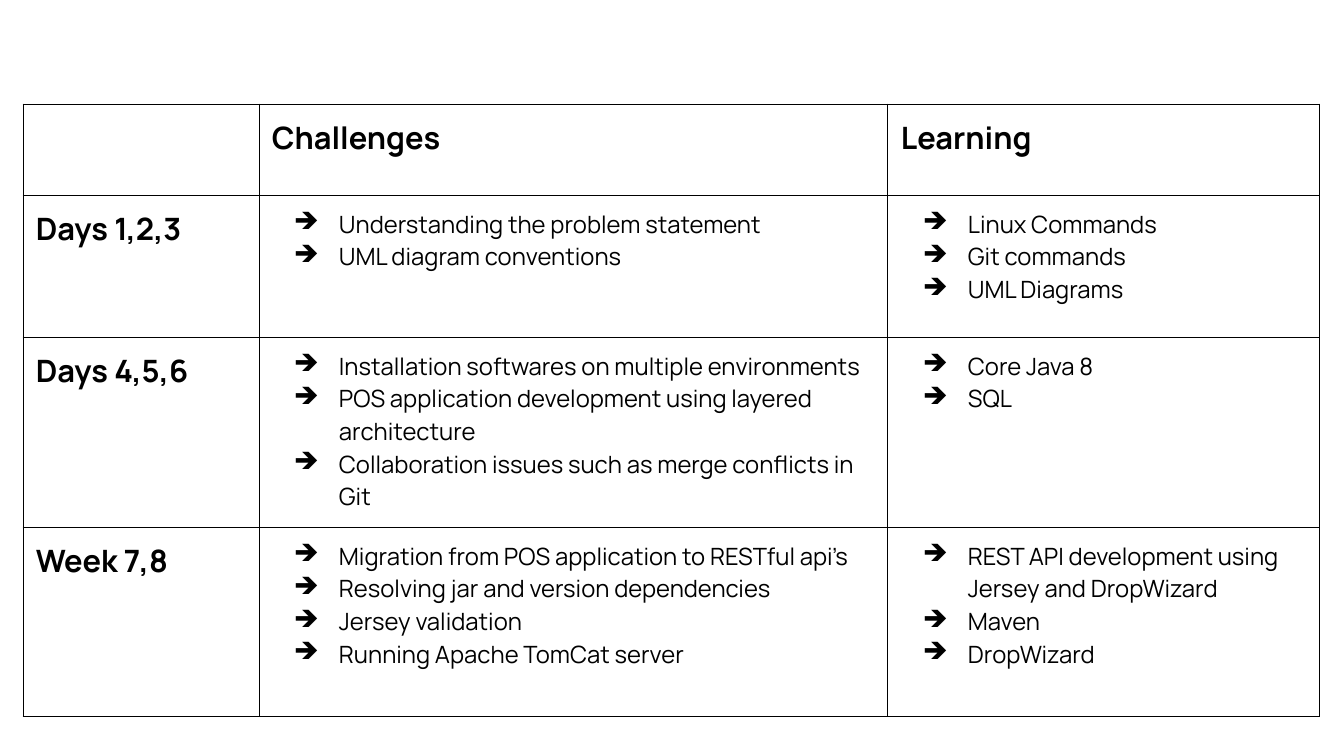
from dataclasses import dataclass

from pptx import Presentation
from pptx import util as u
from pptx.dml import color
from pptx.oxml import parse_xml
from pptx.oxml.ns import nsdecls

FONT = "Manrope"
INK = "000000"
COLS = (236, 629, 432)
ROWS = (91, 142, 190, 189)


@dataclass
class Phase:
    name: str
    issues: list[str]
    skills: list[str]


PHASES = [
    Phase(
        "Days 1,2,3",
        ["Understanding the problem statement", "UML diagram conventions"],
        ["Linux Commands", "Git commands", "UML Diagrams"],
    ),
    Phase(
        "Days 4,5,6",
        [
            "Installation softwares on multiple environments",
            "POS application development using layered architecture",
            "Collaboration issues such as merge conflicts in Git",
        ],
        ["Core Java 8", "SQL"],
    ),
    Phase(
        "Week 7,8",
        [
            "Migration from POS application to RESTful api’s",
            "Resolving jar and version dependencies",
            "Jersey validation",
            "Running Apache TomCat server",
        ],
        [
            "REST API development using Jersey and DropWizard",
            "Maven",
            "DropWizard",
        ],
    ),
]


def px(n: int) -> int:
    return round(n * 914400 / 100.8)


def rgb(code: str) -> color.RGBColor:
    return color.RGBColor.from_string(code)


def frame(cell) -> None:
    props = cell._tc.get_or_add_tcPr()
    for side in "LRTB":
        props.append(parse_xml(
            f'<a:ln{side} {nsdecls("a")} w="{u.Pt(0.75)}"><a:solidFill>'
            f'<a:srgbClr val="{INK}"/></a:solidFill></a:ln{side}>'
        ))
    cell.fill.background()
    cell.margin_left = cell.margin_right = px(13)
    cell.margin_top = cell.margin_bottom = px(13)


def arrow(par) -> None:
    props = par._p.get_or_add_pPr()
    props.set("marL", str(px(67)))
    props.set("indent", str(-px(45)))
    props.append(parse_xml(
        f'<a:buClr {nsdecls("a")}><a:srgbClr val="{INK}"/></a:buClr>'
    ))
    props.append(parse_xml(f'<a:buChar {nsdecls("a")} char="➔"/>'))


def write(cell, lines: list[str], *, size: int = 17, bold: bool = False,
          list_on: bool = True) -> None:
    body = cell.text_frame
    for i, line in enumerate(lines):
        par = body.add_paragraph() if i else body.paragraphs[0]
        if list_on:
            arrow(par)
        run = par.add_run()
        run.text = line
        run.font.name = FONT
        run.font.size = u.Pt(size)
        run.font.bold = bold
        run.font.color.rgb = rgb(INK)


def head(cell, line: str) -> None:
    write(cell, [line], size=22, bold=True, list_on=False)


def main() -> None:
    deck = Presentation()
    deck.slide_width, deck.slide_height = px(1344), px(756)
    slide = deck.slides.add_slide(deck.slide_layouts[6])
    grid = slide.shapes.add_table(
        len(ROWS), len(COLS), px(23), px(104), px(sum(COLS)), px(sum(ROWS))
    ).table
    grid.first_row = grid.horz_banding = False
    for col, width in zip(grid.columns, COLS):
        col.width = px(width)
    for row, height in zip(grid.rows, ROWS):
        row.height = px(height)
    for cell in grid.iter_cells():
        frame(cell)
    head(grid.cell(0, 1), "Challenges")
    head(grid.cell(0, 2), "Learning")
    for i, phase in enumerate(PHASES, 1):
        head(grid.cell(i, 0), phase.name)
        write(grid.cell(i, 1), phase.issues)
        write(grid.cell(i, 2), phase.skills)
    deck.save("out.pptx")


if __name__ == "__main__":
    main()
